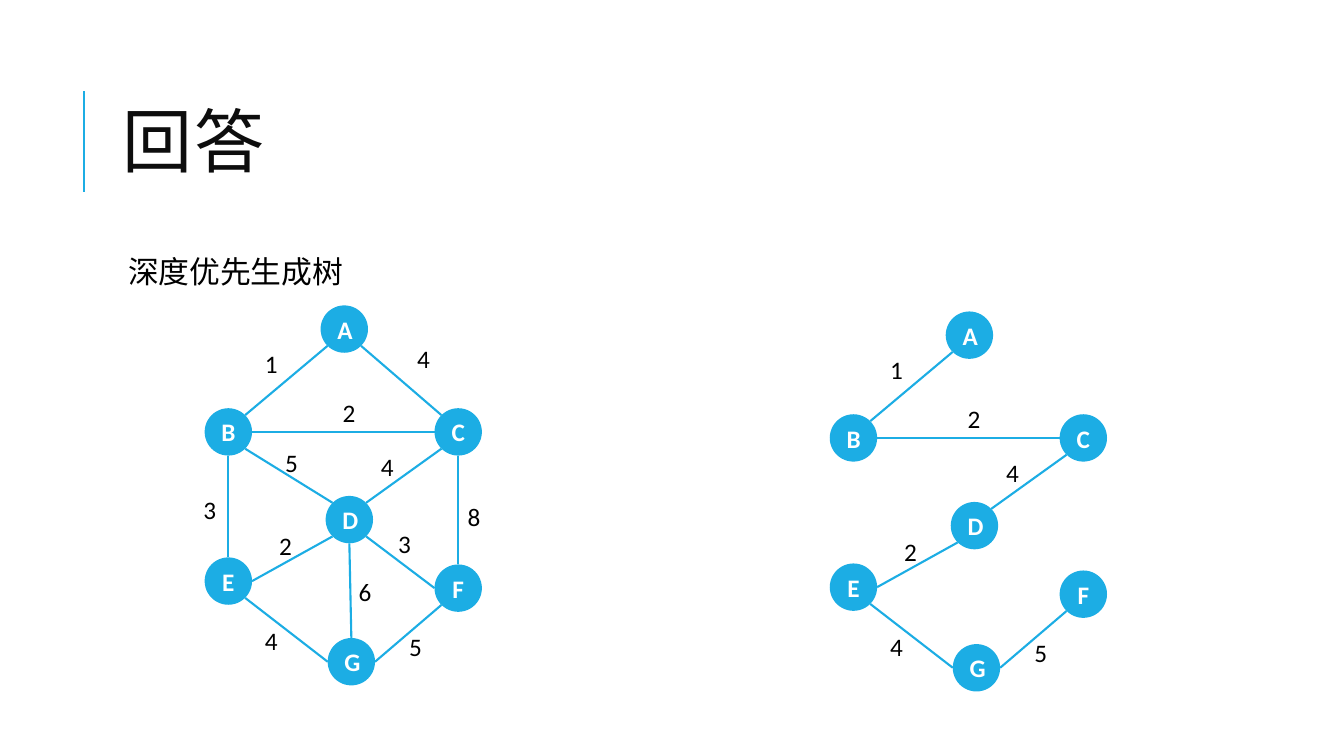
from dataclasses import dataclass
from typing import Any

from lxml import etree
from pptx import Presentation
from pptx.dml.color import RGBColor
from pptx.enum.shapes import MSO_CONNECTOR, MSO_SHAPE
from pptx.enum.text import MSO_ANCHOR, MSO_AUTO_SIZE, PP_ALIGN
from pptx.oxml.ns import qn
from pptx.util import Inches, Pt

LINE = MSO_CONNECTOR.STRAIGHT
ELLIPSE = MSO_SHAPE.OVAL
MIDDLE = MSO_ANCHOR.MIDDLE
TOP = MSO_ANCHOR.TOP
CENTER = PP_ALIGN.CENTER
FIT_SHAPE = MSO_AUTO_SIZE.SHAPE_TO_FIT_TEXT

COLORS = {"accent": "1CADE4", "title": "0D0D0D", "text": "000000", "node": "FFFFFF"}
FONTS = {"title": "Cabin", "body": "Calibri"}

DIAMETER = 0.47
RADIUS = DIAMETER / 2
DIAGONAL = RADIUS * 0.71
LABEL_SIZE = (0.34, 0.4)
SITES = {
    "N": (0, -RADIUS), "S": (0, RADIUS), "W": (-RADIUS, 0), "E": (RADIUS, 0),
    "NW": (-DIAGONAL, -DIAGONAL), "NE": (DIAGONAL, -DIAGONAL),
    "SW": (-DIAGONAL, DIAGONAL), "SE": (DIAGONAL, DIAGONAL),
}


@dataclass(frozen=True)
class Edge:
    """A weighted edge between two nodes, each met at a compass point."""
    start: str
    start_site: str
    end: str
    end_site: str
    weight: int
    label_at: tuple[float, float]


@dataclass(frozen=True)
class Graph:
    offset: tuple[float, float]
    edges: list[Edge]


# Top left corner of each node in the full graph
NODES = {
    "A": (3.18, 3.03), "B": (2.03, 4.05), "C": (4.31, 4.05), "D": (3.23, 4.92),
    "E": (2.03, 5.53), "F": (4.31, 5.6), "G": (3.25, 6.33),
}
EDGES = [
    Edge("A", "SW", "B", "NE", 1, (2.53, 3.41)),
    Edge("A", "SE", "C", "NW", 4, (4.04, 3.36)),
    Edge("B", "E", "C", "W", 2, (3.3, 3.89)),
    Edge("B", "SE", "D", "NW", 5, (2.73, 4.39)),
    Edge("C", "SW", "D", "NE", 4, (3.68, 4.43)),
    Edge("B", "S", "E", "N", 3, (1.92, 4.86)),
    Edge("D", "SW", "E", "E", 2, (2.67, 5.21)),
    Edge("D", "SE", "F", "W", 3, (3.85, 5.19)),
    Edge("C", "S", "F", "N", 8, (4.54, 4.92)),
    Edge("E", "SE", "G", "W", 4, (2.53, 6.15)),
    Edge("F", "SW", "G", "E", 5, (3.96, 6.21)),
    Edge("D", "S", "G", "N", 6, (3.46, 5.67)),
]
TREE_EDGES = {"AB", "BC", "CD", "DE", "EG", "FG"}
GRAPHS = [
    Graph((6.2, 0.06), [e for e in EDGES if e.start + e.end in TREE_EDGES]),
    Graph((0, 0), EDGES),
]


def apply(target: Any, formats: dict[str, Any]) -> None:
    for name, value in formats.items():
        setattr(target, name, value)


def write(sp: Any, text: str, color: str, font: dict[str, Any],
          frame: dict[str, Any], paragraph: dict[str, Any]) -> Any:
    """Fill a shape with one formatted run and return the run."""
    tf = sp.text_frame
    apply(tf, frame)
    p = tf.paragraphs[0]
    apply(p, paragraph)
    r = p.add_run()
    r.text = text
    apply(r.font, {"name": FONTS["body"], "size": Pt(18)} | font)
    r.font.color.rgb = RGBColor.from_string(COLORS[color])
    return r


def add_line(shapes: Any, start: tuple[float, float], end: tuple[float, float]) -> None:
    line = shapes.add_connector(LINE, *map(Inches, start + end))
    line.line.color.rgb = RGBColor.from_string(COLORS["accent"])
    line.line.width = Pt(1.5)
    sp_pr = line._element.find(qn("p:spPr"))
    etree.SubElement(sp_pr, qn("a:effectLst"))


def add_node(shapes: Any, name: str, at: tuple[float, float]) -> None:
    sp = shapes.add_shape(ELLIPSE, *map(Inches, at + (DIAMETER, DIAMETER)))
    sp.shadow.inherit = False
    sp.fill.solid()
    sp.fill.fore_color.rgb = RGBColor.from_string(COLORS["accent"])
    sp.line.fill.background()
    write(sp, name, "node", {"bold": True}, {"vertical_anchor": MIDDLE},
          {"alignment": CENTER})


def add_graph(s: Any, graph: Graph) -> None:
    dx, dy = graph.offset
    shapes = s.shapes.add_group_shape().shapes

    def site(node: str, side: str) -> tuple[float, float]:
        """Point on the rim of a node."""
        (x, y), (sx, sy) = NODES[node], SITES[side]
        return x + RADIUS + sx + dx, y + RADIUS + sy + dy

    for name, (x, y) in NODES.items():
        add_node(shapes, name, (x + dx, y + dy))
    for e in graph.edges:
        add_line(shapes, site(e.start, e.start_site), site(e.end, e.end_site))
    for e in graph.edges:
        x, y = e.label_at
        sp = shapes.add_textbox(*map(Inches, (x + dx, y + dy) + LABEL_SIZE))
        write(sp, str(e.weight), "text", {},
              {"word_wrap": False, "auto_size": FIT_SHAPE}, {})


def add_headings(s: Any) -> None:
    add_line(s.shapes, (0.83, 1.9), (0.83, 0.9))
    title = s.shapes.add_textbox(*map(Inches, (1.12, 0.64, 10.63, 1.64)))
    r = write(title, "回答", "title", {"name": FONTS["title"], "size": Pt(50)},
              {"word_wrap": True, "vertical_anchor": MIDDLE}, {"line_spacing": 0.8})
    r.font._element.set("spc", "100")
    body = s.shapes.add_textbox(*map(Inches, (1.12, 2.5, 10.63, 4.4)))
    inset = Inches(0.05)
    write(body, "深度优先生成树", "text", {"size": Pt(22)},
          {"word_wrap": True, "vertical_anchor": TOP, "margin_left": Inches(0.15),
           "margin_right": inset, "margin_top": inset, "margin_bottom": inset},
          {"line_spacing": 0.9, "space_before": Pt(12), "space_after": Pt(2)})


def main() -> None:
    prs = Presentation()
    apply(prs, {"slide_width": Inches(13.33), "slide_height": Inches(7.5)})
    s = prs.slides.add_slide(prs.slide_layouts[6])
    add_headings(s)
    for graph in GRAPHS:
        add_graph(s, graph)
    prs.save("out.pptx")


if __name__ == "__main__":
    main()
